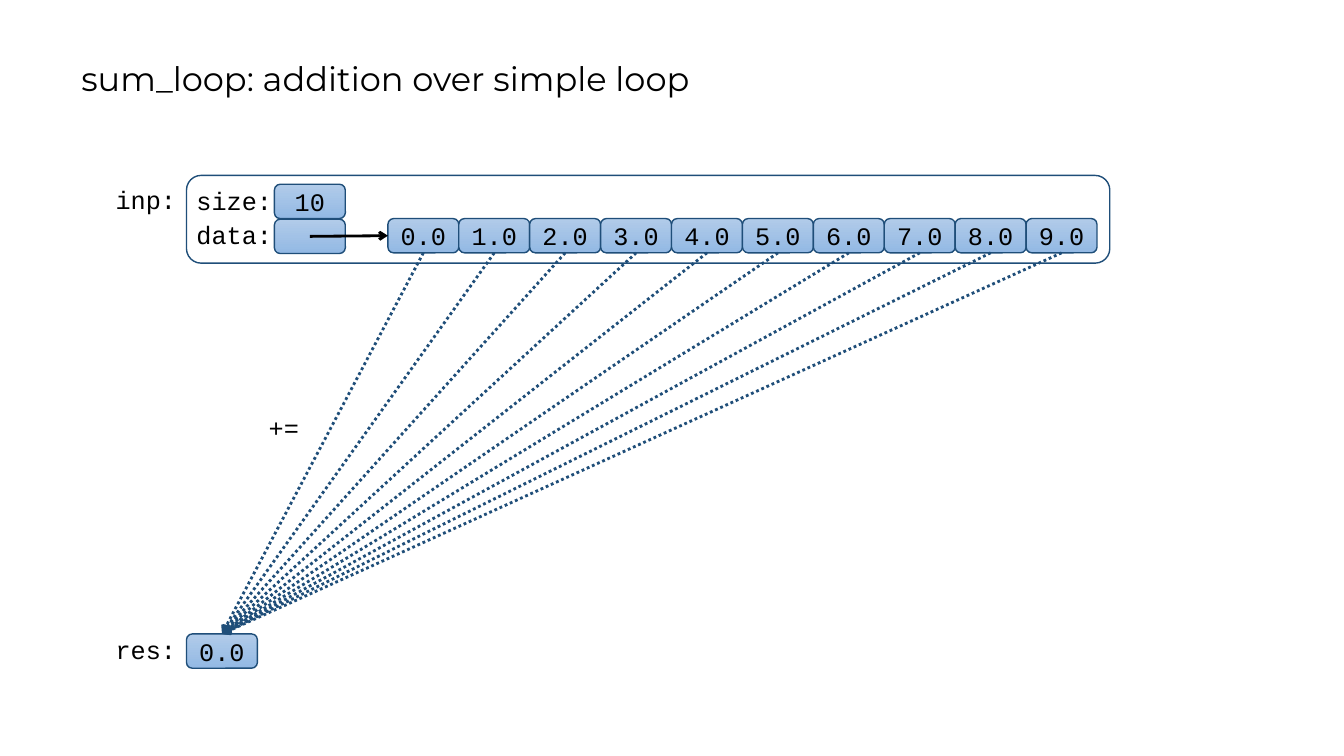
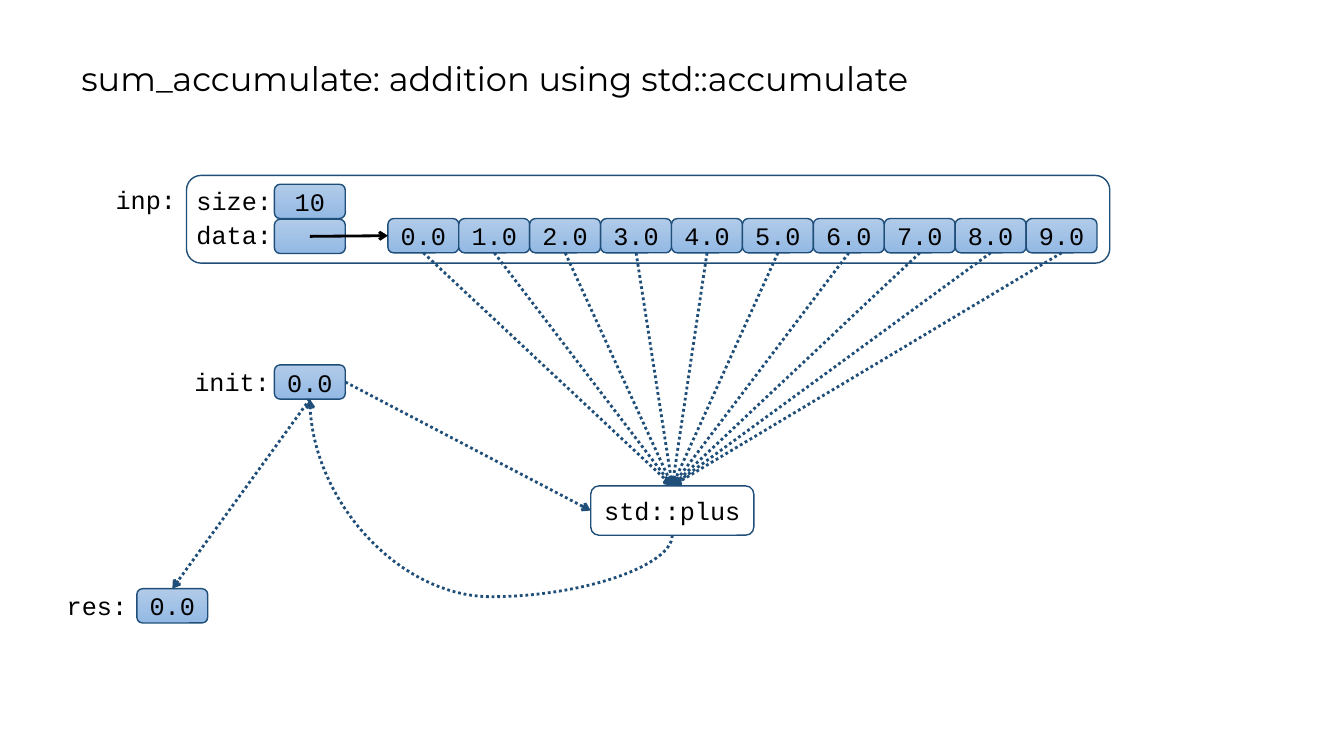
import dataclasses
import typing

import pptx
import pptx.dml.color
import pptx.enum.dml
import pptx.enum.shapes
import pptx.enum.text
import pptx.oxml.ns
import pptx.util
from lxml import etree

# Shared style
WIDE, HIGH = 13.33, 7.5
MONO, SANS = "Courier New", "Montserrat"
BLACK, NAVY, PALE, BLUE = "000000", "1F4E79", "B1CBE9", "93B9E4"

# Grid: one column and row per memory cell, from the frame's top left corner
LEFT, TOP = 1.85, 1.74
COL, ROW = (10.18 - 3.85) / 9, 0.34
COUNT = 10

# Joining sites of a rectangle
ABOVE, WEST, BELOW, EAST = range(4)


@dataclasses.dataclass
class Box:
    text: str
    col: float
    row: float
    cols: float = 1
    rows: float = 1
    filled: bool = True


@dataclasses.dataclass
class Label:
    text: str
    col: float
    row: float


FRAME = Box("", 0, 0, 13.02, 2.56, False)
SIZE = Box("10", 1.24, 0.26)
DATA = Box("", 1.24, 1.28)
CELLS = [Box(f"{i}.0", 2.84 + i, 1.26) for i in range(COUNT)]
TAGS = [Label("inp:", -1.14, 0.12), Label("size:", 0, 0.15),
        Label("data:", 0, 1.15)]


def inch(value: float) -> int:
    return pptx.util.Inches(value)


def color(code: str) -> pptx.dml.color.RGBColor:
    return pptx.dml.color.RGBColor.from_string(code)


def across(col: float) -> int:
    return inch(LEFT + col * COL)


def down(row: float) -> int:
    return inch(TOP + row * ROW)


def style(frame: typing.Any, font: str, size: float) -> None:
    for part in frame.paragraphs:
        for run in part.runs:
            run.font.name = font
            run.font.size = pptx.util.Pt(size)
            run.font.color.rgb = color(BLACK)


# Parts
def head(slide: typing.Any, text: str) -> None:
    title = slide.shapes.title
    title.left, title.top = inch(WIDE * 0.053), inch(HIGH * 0.037)
    title.width, title.height = inch(11.5), inch(HIGH * 0.14)
    frame = title.text_frame
    frame.text = text
    frame.auto_size = pptx.enum.text.MSO_AUTO_SIZE.NONE
    frame.vertical_anchor = pptx.enum.text.MSO_ANCHOR.MIDDLE
    frame.paragraphs[0].alignment = pptx.enum.text.PP_ALIGN.LEFT
    frame.paragraphs[0].line_spacing = 0.9
    style(frame, SANS, 24)


def draw(slide: typing.Any, box: Box) -> typing.Any:
    shape = slide.shapes.add_shape(
        pptx.enum.shapes.MSO_SHAPE.ROUNDED_RECTANGLE,
        across(box.col), down(box.row),
        inch(box.cols * COL), inch(box.rows * ROW))
    shape.shadow.inherit = False
    shape.line.color.rgb = color(NAVY)
    shape.line.width = pptx.util.Pt(1)
    if box.filled:
        shape.fill.gradient()
        shape.fill.gradient_angle = 270
        for stop, code in zip(shape.fill.gradient_stops, (PALE, BLUE)):
            stop.color.rgb = color(code)
    else:
        shape.fill.background()
    if box.text:
        frame = shape.text_frame
        frame.text = box.text
        frame.vertical_anchor = pptx.enum.text.MSO_ANCHOR.MIDDLE
        frame.paragraphs[0].alignment = pptx.enum.text.PP_ALIGN.CENTER
        style(frame, MONO, 18)
    return shape


def write(slide: typing.Any, label: Label) -> None:
    width = 0.2 + 0.15 * len(label.text)
    frame = slide.shapes.add_textbox(
        across(label.col), down(label.row), inch(width), inch(0.4)).text_frame
    frame.text = label.text
    frame.word_wrap = False
    frame.auto_size = pptx.enum.text.MSO_AUTO_SIZE.SHAPE_TO_FIT_TEXT
    style(frame, MONO, 18)


def finish(line: typing.Any, code: str, dotted: bool) -> None:
    line.line.color.rgb = color(code)
    line.line.width = pptx.util.Pt(2)
    if dotted:
        line.line.dash_style = pptx.enum.dml.MSO_LINE.ROUND_DOT
    props = line._element.spPr
    tail = etree.SubElement(line.line._get_or_add_ln(),
                            pptx.oxml.ns.qn("a:tailEnd"))
    tail.set("type", "arrow")
    etree.SubElement(props, pptx.oxml.ns.qn("a:effectLst"))


def link(slide: typing.Any, start: typing.Any, out: int,
         end: typing.Any, into: int, curved: bool = False) -> typing.Any:
    kinds = pptx.enum.shapes.MSO_CONNECTOR
    line = slide.shapes.add_connector(
        kinds.CURVE if curved else kinds.STRAIGHT, 0, 0, 0, 0)
    line.begin_connect(start, out)
    line.end_connect(end, into)
    finish(line, NAVY, True)
    return line


def loop(slide: typing.Any, start: typing.Any, end: typing.Any) -> None:
    """Curve from under one box, back up to the underside of another."""
    line = link(slide, start, BELOW, end, BELOW, True)
    wide, high = line.width, line.height
    line.left += (wide - high) // 2
    line.top += (high - wide) // 2
    line.width, line.height = high, wide
    form = line._element.spPr.xfrm
    form.attrib.clear()
    form.set("rot", str(90 * 60000))
    form.set("flipH", "1")
    shape = line._element.spPr.find(pptx.oxml.ns.qn("a:prstGeom"))
    marks = shape.find(pptx.oxml.ns.qn("a:avLst"))
    guide = etree.SubElement(marks, pptx.oxml.ns.qn("a:gd"))
    guide.set("name", "adj1")
    guide.set("fmla", "val -45200")


def store(slide: typing.Any) -> list[typing.Any]:
    """Draw the input vector and return its cells."""
    draw(slide, FRAME)
    cells = [draw(slide, box) for box in CELLS]
    draw(slide, SIZE)
    draw(slide, DATA)
    for tag in TAGS:
        write(slide, tag)
    mid = down(DATA.row + 0.5)
    line = slide.shapes.add_connector(
        pptx.enum.shapes.MSO_CONNECTOR.STRAIGHT,
        across(DATA.col + 0.5), mid, across(CELLS[0].col), mid)
    line.end_connect(cells[0], WEST)
    finish(line, BLACK, False)
    return cells


def start(deck: typing.Any, text: str) -> tuple[typing.Any, list[typing.Any]]:
    slide = deck.slides.add_slide(deck.slide_layouts[5])
    head(slide, text)
    return slide, store(slide)


# Slides
def simple(deck: typing.Any) -> None:
    slide, cells = start(deck, "sum_loop: addition over simple loop")
    res = draw(slide, Box("0.0", 0, 13.38))
    write(slide, Label("res:", -1.14, 13.26))
    for cell in cells:
        link(slide, cell, BELOW, res, ABOVE)
    write(slide, Label("+=", 1.02, 6.76))


def gather(deck: typing.Any) -> None:
    slide, cells = start(deck, "sum_accumulate: addition using std::accumulate")
    init = draw(slide, Box("0.0", 1.24, 5.53))
    write(slide, Label("init:", -0.03, 5.44))
    plus = draw(slide, Box("std::plus", 5.7, 9.06, 2.3, 1.44, False))
    res = draw(slide, Box("0.0", -0.7, 12.06))
    write(slide, Label("res:", -1.83, 11.97))
    for cell in cells:
        link(slide, cell, BELOW, plus, ABOVE)
    loop(slide, plus, init)
    link(slide, init, EAST, plus, WEST)
    link(slide, init, BELOW, res, ABOVE)


def main() -> None:
    deck = pptx.Presentation()
    deck.slide_width, deck.slide_height = inch(WIDE), inch(HIGH)
    simple(deck)
    gather(deck)
    deck.save("out.pptx")


if __name__ == "__main__":
    main()
